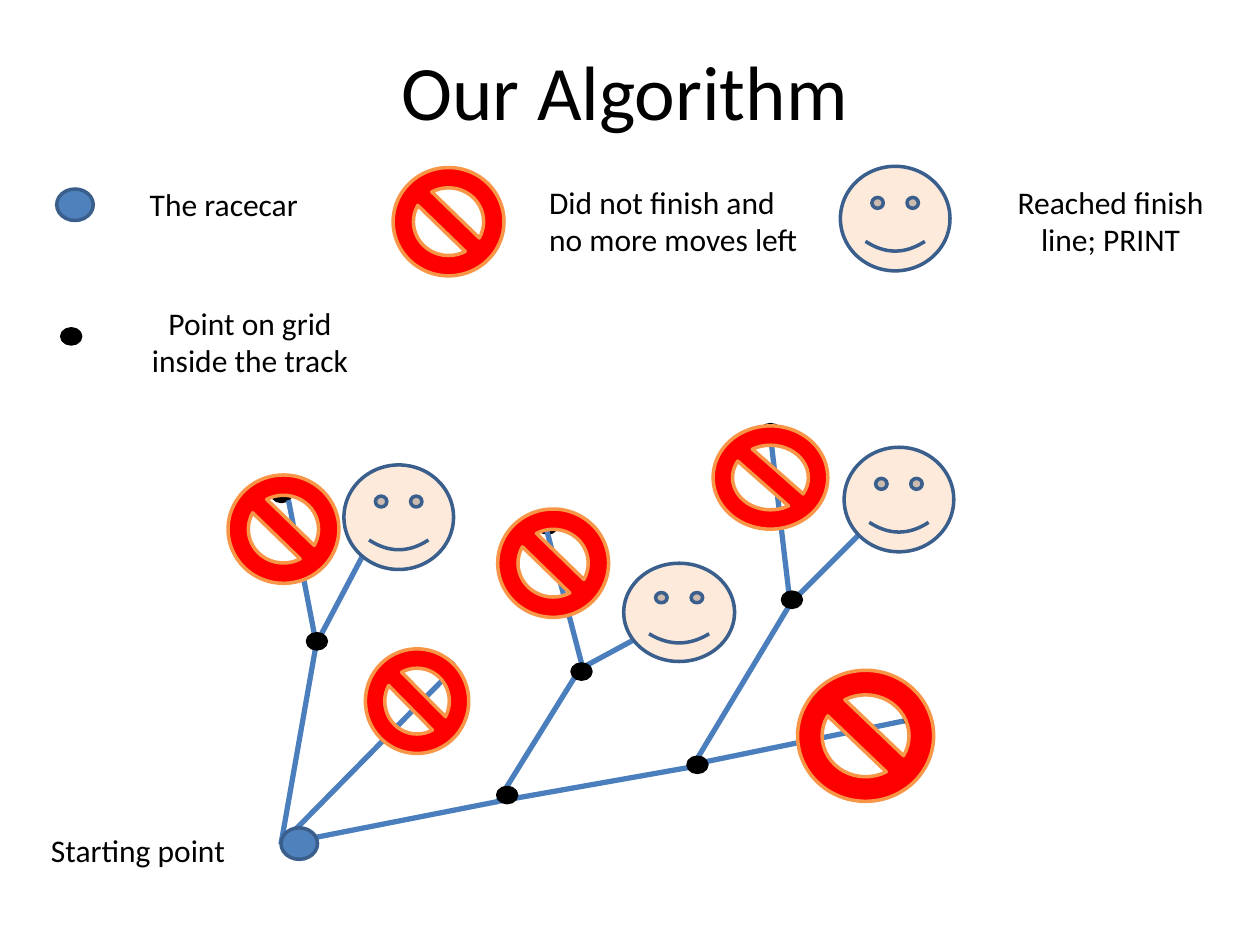
from lxml.etree import SubElement
from pptx import Presentation
from pptx.dml.color import RGBColor
from pptx.enum.shapes import MSO_CONNECTOR as LINK, MSO_SHAPE as SHAPE
from pptx.enum.text import MSO_ANCHOR as ANCHOR, PP_ALIGN as ALIGN
from pptx.oxml.ns import qn
from pptx.util import Inches, Pt

BLACK = RGBColor(0x00, 0x00, 0x00)
BLUE = RGBColor(0x4F, 0x81, 0xBD)
NAVY = RGBColor(0x3A, 0x5F, 0x8C)
PATH = RGBColor(0x4B, 0x7E, 0xBC)
RED = RGBColor(0xFF, 0x00, 0x00)
ORANGE = RGBColor(0xF7, 0x96, 0x46)
PEACH = RGBColor(0xFD, 0xEA, 0xDA)

prs = Presentation()
prs.slide_width, prs.slide_height = Inches(10), Inches(7.5)
slide = prs.slides.add_slide(prs.slide_layouts[5])
shapes = slide.shapes


def add_mark(kind, box, fill, edge):
    mark = shapes.add_shape(kind, *[Inches(n) for n in box])
    mark.shadow.inherit = False
    mark.fill.solid()
    mark.fill.fore_color.rgb = fill
    mark.line.color.rgb = edge
    mark.line.width = Pt(2)


def set_text(shape, text, size, align):
    frame = shape.text_frame
    frame.text = text
    frame.word_wrap = True
    para = frame.paragraphs[0]
    para.alignment = align
    font = para.runs[0].font
    font.name, font.size = "Calibri", Pt(size)
    font.color.rgb = BLACK


title = shapes.title
title.left, title.top = Inches(0.46), Inches(0.09)
title.width, title.height = Inches(9), Inches(1.25)
set_text(title, "Our Algorithm", 44, ALIGN.CENTER)
title.text_frame.vertical_anchor = ANCHOR.MIDDLE

DOT = (0.15, 0.12)
for spot in [(3.01, 4.01), (4.27, 4.11), (2.16, 3.86)]:
    add_mark(SHAPE.OVAL, spot + DOT, BLACK, BLACK)

moves = [
    (2.51, 5.11, 3.09, 4.01),
    (2.23, 6.7, 3.55, 5.36),
    (2.23, 6.7, 3.96, 6.36),
    (3.95, 6.36, 4.62, 5.28),
    (2.23, 6.7, 2.51, 5.11),
    (3.95, 6.36, 5.53, 6.08),
    (5.51, 6.06, 6.28, 4.78),
    (6.27, 4.78, 6.12, 3.5),
    (6.28, 4.78, 7.28, 3.78),
    (5.53, 6.06, 7.28, 5.7),
    (4.62, 5.3, 5.62, 4.76),
    (4.62, 5.28, 4.34, 4.21),
    (2.51, 5.11, 2.29, 3.97),
]
for ends in moves:
    move = shapes.add_connector(LINK.STRAIGHT, *[Inches(n) for n in ends])
    move.line.color.rgb = PATH
    move.line.width = Pt(3)
    SubElement(move._element.spPr, qn("a:effectLst"))

dots = [
    (0.49, 2.61), (3.95, 6.25), (2.44, 5.03), (5.46, 6.01), (4.54, 5.27),
    (6.21, 4.7), (6.04, 3.37), (7.25, 3.68), (3.46, 5.24), (7.18, 5.64),
    (5.59, 4.66),
]
for spot in dots:
    add_mark(SHAPE.OVAL, spot + DOT, BLACK, BLACK)

for spot in [(0.45, 1.5), (2.23, 6.57)]:
    add_mark(SHAPE.OVAL, spot + (0.29, 0.25), BLUE, NAVY)

signs = [
    (3.12, 1.33, 0.88, 0.86),
    (5.66, 3.38, 0.91, 0.82),
    (6.33, 5.32, 1.08, 1.04),
    (3.95, 4.04, 0.88, 0.86),
    (2.9, 5.15, 0.82, 0.83),
    (1.81, 3.77, 0.88, 0.86),
]
for box in signs:
    add_mark(SHAPE.NO_SYMBOL, box, RED, ORANGE)

faces = [
    (6.67, 1.32, 0.87, 0.83),
    (6.7, 3.55, 0.87, 0.83),
    (4.95, 4.47, 0.88, 0.78),
    (2.73, 3.69, 0.87, 0.83),
]
for box in faces:
    add_mark(SHAPE.SMILEY_FACE, box, PEACH, NAVY)

labels = [
    ("The racecar", ALIGN.LEFT, (1.09, 1.42, 2.13, 0.4)),
    ("Did not finish and no more moves left", ALIGN.LEFT, (4.26, 1.4, 2.21, 0.71)),
    ("Reached finish line; PRINT", ALIGN.CENTER, (7.75, 1.4, 2.13, 0.71)),
    ("Point on grid inside the track", ALIGN.CENTER, (0.92, 2.36, 2.13, 0.71)),
    ("Starting point", ALIGN.CENTER, (0.1, 6.55, 1.99, 0.4)),
]
for text, align, box in labels:
    label = shapes.add_textbox(*[Inches(n) for n in box])
    set_text(label, text, 18, align)

prs.save("out.pptx")
